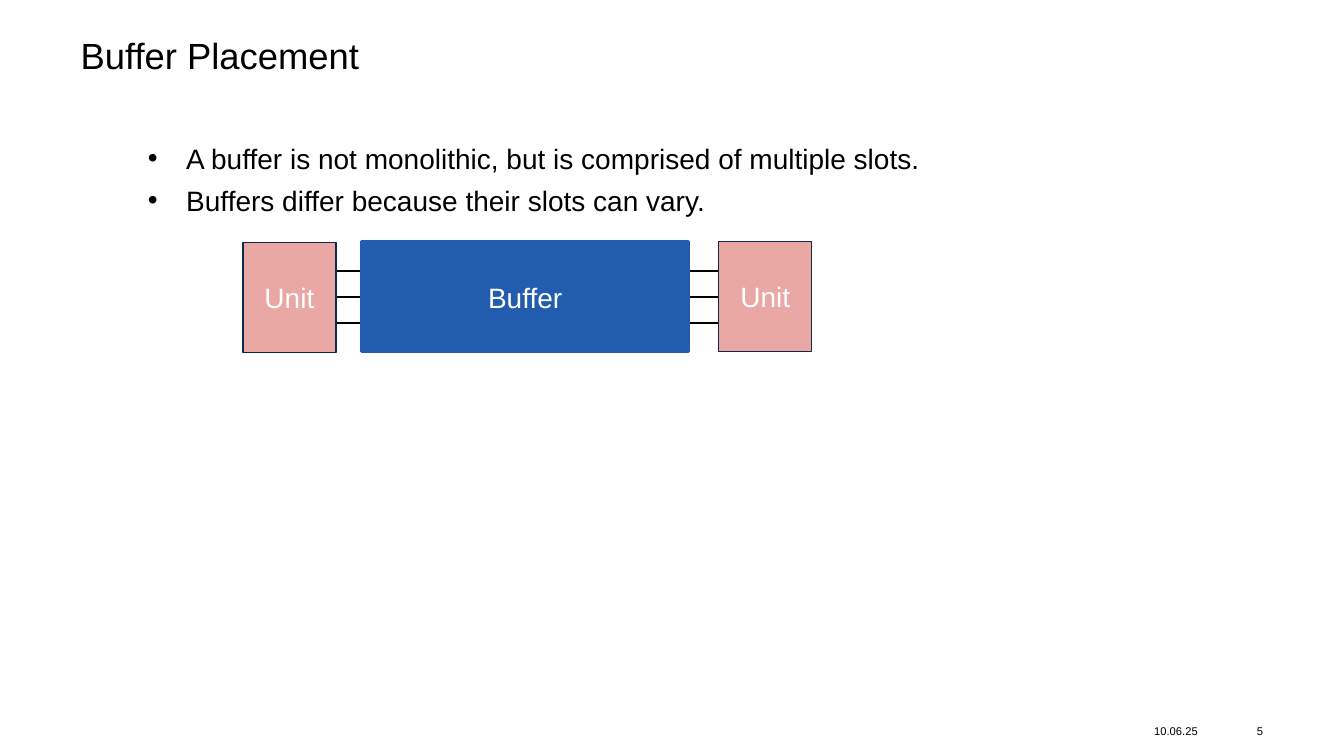
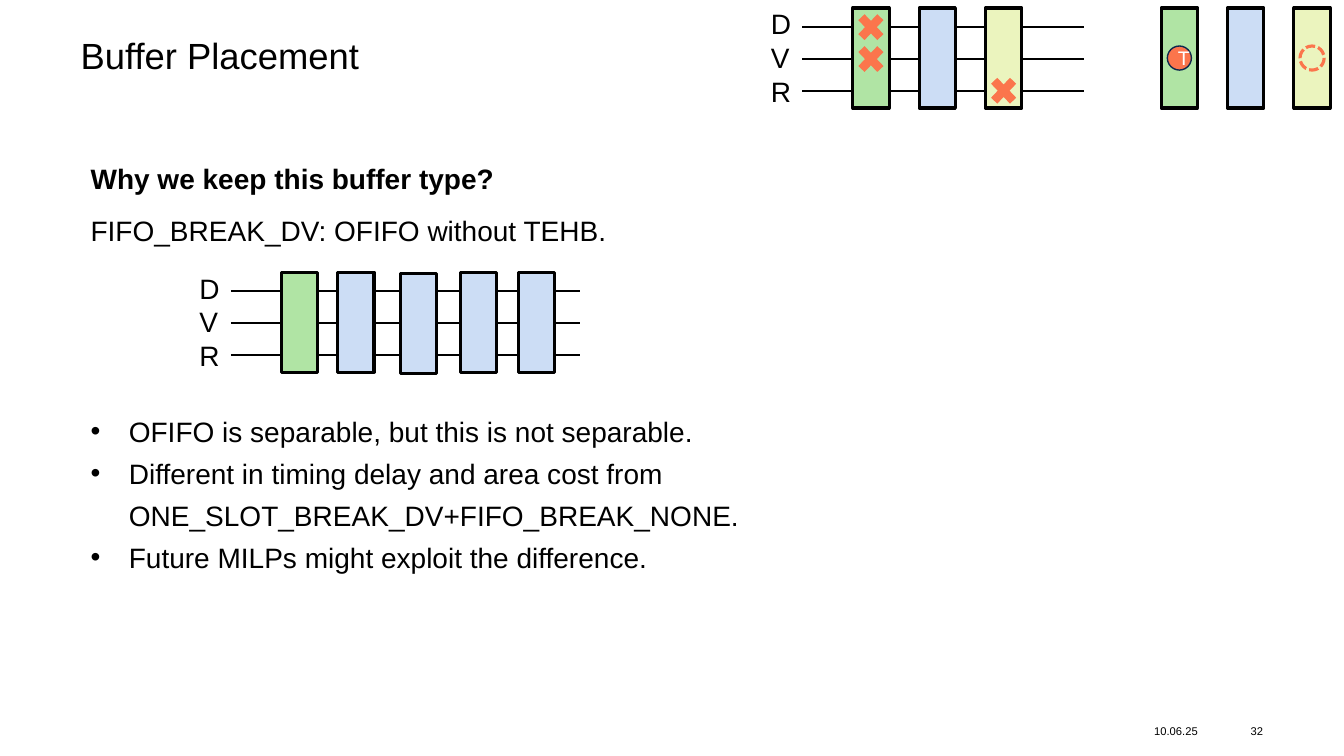
import pptx
import pptx.util
import pptx.dml.color
import pptx.enum.dml
import pptx.enum.shapes
import pptx.enum.text
import pptx.oxml.ns
from lxml import etree

Pt = pptx.util.Pt
SHAPE = pptx.enum.shapes.MSO_SHAPE
ALIGN = pptx.enum.text.PP_ALIGN
ANCHOR = pptx.enum.text.MSO_ANCHOR

COLORS = {
    "black": "000000", "white": "FFFFFF", "navy": "0E284D", "blue": "215CAF",
    "pink": "E9A8A4", "green": "B0E4A4", "sky": "CCDDF5", "lime": "EBF4BE",
    "orange": "FB754C",
}
FONT = "Arial"
TITLE = "Buffer Placement"
DATE = "10.06.25"
BODY_X = 57.6
HANG = 27.36

INTRO = [
    ("A buffer is not monolithic, but is comprised of multiple slots.", "bullet"),
    ("Buffers differ because their slots can vary.", "bullet"),
]
UNITS = [(173.5, 173.2), (513.4, 172.4)]
UNIT_SIZE = (66.5, 78.5)
BUFFER = (258.5, 172.8, 233.3, 78.5)
UNIT_WIRES = [193.7, 212.2, 230.7]

REASON_TEXTS = [
    (105.8, 320, [("Why we keep this buffer type?", "bold")]),
    (143.3, 400, [("FIFO_BREAK_DV: OFIFO without TEHB.", "plain")]),
    (286.6, 500, [
        ("OFIFO is separable, but this is not separable.", "bullet"),
        ("Different in timing delay and area cost from", "bullet"),
        ("ONE_SLOT_BREAK_DV+FIFO_BREAK_NONE.", "continued"),
        ("Future MILPs might exploit the difference.", "bullet"),
    ]),
]
SIGNALS = ["D", "V", "R"]
WIRE_OFFSETS = [18, 40.8, 63.4]
SLOT_W, SLOT_H, SLOT_DROP = 26, 71.5, 4.3
CROSS_H = 27.4
TOKEN = 17.2
LEGEND_Y = 1.4
FIFO_Y = 190.1
LEGEND_COLORS = ["green", "sky", "lime"]
LEGEND_X, TOKEN_X, LEGEND_PITCH = 609.1, 829.4, 47.4
BLOCKED = [(0, "D"), (0, "V"), (2, "R")]
FIFO_SLOTS = [(200.9, 0, "green"), (241.2, 0, "sky"), (285.8, 1, "sky"),
              (329, 0, "sky"), (370.1, 0, "sky")]


def rgb(name):
    return pptx.dml.color.RGBColor.from_string(COLORS[name])


def style(p, size, color="black", bold=False, align=ALIGN.LEFT):
    p.alignment = align
    for r in p.runs:
        r.font.name = FONT
        r.font.size = Pt(size)
        r.font.bold = bold
        r.font.color.rgb = rgb(color)


def add_text(s, x, y, w, h, lines, size, inset=True, middle=False, align=ALIGN.LEFT):
    tf = s.shapes.add_textbox(Pt(x), Pt(y), Pt(w), Pt(h)).text_frame
    tf.word_wrap = True
    if not inset:
        tf.margin_left = tf.margin_right = tf.margin_top = tf.margin_bottom = 0
    if middle:
        tf.vertical_anchor = ANCHOR.MIDDLE
    tf.text = "\n".join(lines)
    for p in tf.paragraphs:
        style(p, size, align=align)
    return tf


def add_body(s, x, y, w, items):
    tf = add_text(s, x, y, w, 30 * len(items) + 5, [text for text, kind in items], 20)
    for p, (text, kind) in zip(tf.paragraphs, items):
        p.line_spacing = Pt(30)
        pPr = p._p.get_or_add_pPr()
        if kind in ("bullet", "continued"):
            pPr.set("marL", str(Pt(HANG)))
            pPr.set("indent", str(Pt(-HANG if kind == "bullet" else 0)))
        if kind == "bullet":
            etree.SubElement(pPr, pptx.oxml.ns.qn("a:buFont")).set("typeface", FONT)
            etree.SubElement(pPr, pptx.oxml.ns.qn("a:buChar")).set("char", "•")
        style(p, 20, bold=kind == "bold")


def add_block(s, kind, x, y, w, h, fill=None, line=None, weight=1.0, text="", size=20):
    sp = s.shapes.add_shape(kind, Pt(x), Pt(y), Pt(w), Pt(h))
    sp.shadow.inherit = False
    if fill:
        sp.fill.solid()
        sp.fill.fore_color.rgb = rgb(fill)
    else:
        sp.fill.background()
    if line:
        sp.line.color.rgb = rgb(line)
        sp.line.width = Pt(weight)
    else:
        sp.line.fill.background()
    if text:
        sp.text_frame.text = text
        sp.text_frame.vertical_anchor = ANCHOR.MIDDLE
        style(sp.text_frame.paragraphs[0], size, "white", align=ALIGN.CENTER)
    return sp


def add_wires(s, x1, x2, heights):
    for y in heights:
        wire = s.shapes.add_connector(pptx.enum.shapes.MSO_CONNECTOR.STRAIGHT,
                                      Pt(x1), Pt(y), Pt(x2), Pt(y))
        wire.line.color.rgb = rgb("black")
        wire.line.width = Pt(1.5)
        etree.SubElement(wire._element.spPr, pptx.oxml.ns.qn("a:effectLst"))


def add_slot(s, x, y, color):
    add_block(s, SHAPE.RECTANGLE, x, y, SLOT_W, SLOT_H, color, "black", 2.25)


def add_channel(s, x, y, length):
    start = x + 29.5
    add_wires(s, start, start + length, [y + offset for offset in WIRE_OFFSETS])
    add_text(s, x, y, 44, 80, SIGNALS, 20)


def add_slide(prs, number):
    s = prs.slides.add_slide(prs.slide_layouts[6])
    tf = add_text(s, BODY_X, 27.4, 844.6, 27.4, [TITLE], 26, inset=False)
    tf.paragraphs[0].line_spacing = 0.9
    add_text(s, 824.4, 513.4, 48.2, 17.3, [DATE], 8, inset=False, middle=True)
    add_text(s, 877, 513.4, 25.2, 17.3, [str(number)], 8, inset=False, middle=True,
             align=ALIGN.RIGHT)
    return s


def build_overview(prs):
    s = add_slide(prs, 5)
    add_body(s, 98.6, 91.4, 590, INTRO)
    add_wires(s, UNITS[0][0] + UNIT_SIZE[0], UNITS[1][0], UNIT_WIRES)
    add_block(s, SHAPE.RECTANGLE, *BUFFER, "blue", "blue", 2.25, "Buffer")
    for x, y in UNITS:
        add_block(s, SHAPE.RECTANGLE, x, y, *UNIT_SIZE, "pink", "navy", 1, "Unit")


def build_reason(prs):
    s = add_slide(prs, 32)
    slot_y = LEGEND_Y + SLOT_DROP
    add_channel(s, 543.6, LEGEND_Y, 200.9)
    for left in (LEGEND_X, TOKEN_X):
        for i, color in enumerate(LEGEND_COLORS):
            add_slot(s, left + i * LEGEND_PITCH, slot_y, color)
    for i, signal in BLOCKED:
        y = LEGEND_Y + WIRE_OFFSETS[SIGNALS.index(signal)] - CROSS_H / 2
        add_block(s, SHAPE.MATH_MULTIPLY, LEGEND_X + i * LEGEND_PITCH, y,
                  SLOT_W, CROSS_H, "orange")
    token_x = TOKEN_X + (SLOT_W - TOKEN) / 2
    token_y = slot_y + (SLOT_H - TOKEN) / 2
    add_block(s, SHAPE.OVAL, token_x, token_y, TOKEN, TOKEN, "orange", "navy", 1, "T", 14)
    ghost = add_block(s, SHAPE.OVAL, token_x + 2 * LEGEND_PITCH, token_y, TOKEN, TOKEN,
                      line="orange", weight=2.25)
    ghost.line.dash_style = pptx.enum.dml.MSO_LINE.SQUARE_DOT

    add_channel(s, 135.4, FIFO_Y, 249.1)
    for x, drop, color in FIFO_SLOTS:
        add_slot(s, x, FIFO_Y + SLOT_DROP + drop, color)
    for y, w, items in REASON_TEXTS:
        add_body(s, BODY_X, y, w, items)


def main():
    prs = pptx.Presentation()
    prs.slide_width, prs.slide_height = Pt(960), Pt(540)
    build_overview(prs)
    build_reason(prs)
    prs.save("out.pptx")


if __name__ == "__main__":
    main()
